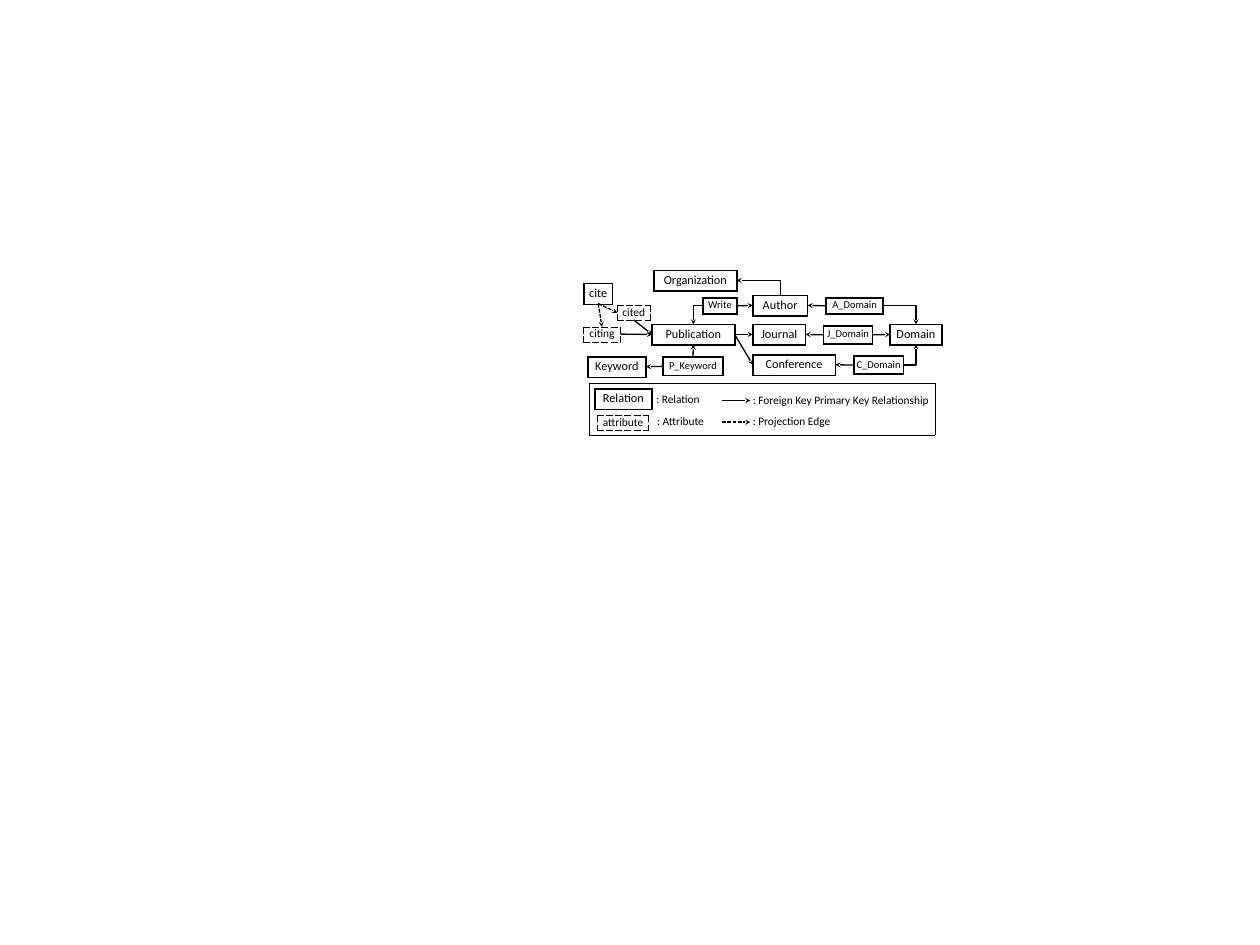
"""Build a schema graph of a publication database with its legend."""
from collections import namedtuple

from lxml import etree
from pptx import Presentation
from pptx import util as u
from pptx.dml.color import RGBColor
from pptx.enum import dml, shapes, text
from pptx.oxml.ns import qn

BLACK = RGBColor(0x00, 0x00, 0x00)
FONT = "Calibri"

Kind = namedtuple("Kind", "size border dash height pad_x pad_y")
RELATION = Kind(14, 2.25, "solid", 0.81, 0.18, 0.18)
LINK_RELATION = Kind(12, 2.25, "solid", 0.74, 0, 0.08)
SLIM_RELATION = LINK_RELATION._replace(height=0.64, pad_y=0)
ATTRIBUTE = Kind(13, 1, "sysDash", 0.58, 0.18, 0.08)
LEGEND_FRAME = Kind(18, 0.75, "solid", 2.06, 0.18, 0.18)

NODES = {
    "Publication": (RELATION, 26.29, 13.08, 3.33),
    "Keyword": (RELATION, 23.7, 14.38, 2.34),
    "P_Keyword": (LINK_RELATION, 26.72, 14.4, 2.44),
    "cite": (RELATION, 23.55, 11.43, 1.14),
    "citing": (ATTRIBUTE, 23.52, 13.18, 1.5),
    "cited": (ATTRIBUTE, 24.89, 12.32, 1.32),
    "Organization": (RELATION, 26.37, 10.9, 3.33),
    "Write": (SLIM_RELATION, 28.35, 12.01, 1.35),
    "Author": (RELATION, 30.35, 11.91, 2.21),
    "Conference": (RELATION, 30.35, 14.3, 3.33),
    "J_Domain": (LINK_RELATION, 33.2, 13.13, 1.98),
    "Journal": (RELATION, 30.35, 13.08, 2.13),
    "C_Domain": (LINK_RELATION, 34.42, 14.35, 2.01),
    "Domain": (RELATION, 35.89, 13.08, 2.08),
    "A_Domain": (SLIM_RELATION, 33.3, 12.01, 2.31),
    "Relation": (RELATION, 23.98, 15.67, 2.31),
    "attribute": (ATTRIBUTE, 24.08, 16.76, 2.08),
}

FOREIGN_KEYS = [
    ("P_Keyword", "left", "Keyword", "right"),
    ("P_Keyword", "top", "Publication", "bottom"),
    ("citing", "right", "Publication", "left"),
    ("cited", "bottom", "Publication", "left"),
    ("Write", "right", "Author", "left"),
    ("J_Domain", "left", "Journal", "right"),
    ("Publication", "right", "Journal", "left"),
    ("Publication", "right", "Conference", "left"),
    ("C_Domain", "left", "Conference", "right"),
    ("A_Domain", "left", "Author", "right"),
    ("J_Domain", "right", "Domain", "left"),
]
PROJECTIONS = [
    ("cite", "bottom", "cited", "left"),
    ("cite", "bottom", "citing", "top"),
]
BENT_KEYS = [
    ("Write", "left", "Publication", "top"),
    ("A_Domain", "right", "Domain", "top"),
    ("C_Domain", "right", "Domain", "bottom"),
]

LEGEND_TEXTS = [
    (": Relation", 26.21, 15.67, 3.1),
    (": Attribute", 26.24, 16.59, 3.53),
    (": Foreign Key Primary Key Relationship", 30.1, 15.72, 10.01),
    (": Projection Edge", 30.1, 16.56, 6.07),
]


def add_run(paragraph, words, size):
    """Add one black run to a paragraph."""
    run = paragraph.add_run()
    run.text = words
    run.font.name = FONT
    run.font.size = u.Pt(size)
    run.font.color.rgb = BLACK


def set_borders(cell, kind):
    """Draw the four borders of a cell."""
    properties = cell._tc.get_or_add_tcPr()
    for side in ("lnL", "lnR", "lnT", "lnB"):
        border = etree.SubElement(properties, qn(f"a:{side}"), w=str(u.Pt(kind.border)))
        fill = etree.SubElement(border, qn("a:solidFill"))
        etree.SubElement(fill, qn("a:srgbClr"), val=str(BLACK))
        etree.SubElement(border, qn("a:prstDash"), val=kind.dash)


def add_node(slide, label, kind, left, top, width):
    """Add a bordered one-cell table."""
    frame = slide.shapes.add_table(
        1, 1, u.Cm(left), u.Cm(top), u.Cm(width), u.Cm(kind.height))
    frame.table.first_row = False
    frame.table.horz_banding = False
    cell = frame.table.cell(0, 0)
    set_borders(cell, kind)
    cell.fill.background()
    cell.vertical_anchor = text.MSO_ANCHOR.MIDDLE
    cell.margin_left = cell.margin_right = u.Cm(kind.pad_x)
    cell.margin_top = cell.margin_bottom = u.Cm(kind.pad_y)
    if label:
        paragraph = cell.text_frame.paragraphs[0]
        paragraph.alignment = text.PP_ALIGN.CENTER
        paragraph.line_spacing = 0.8
        add_run(paragraph, label, kind.size)


def anchor(name, side):
    """Return the middle of one side of a node, in centimetres."""
    kind, left, top, width = NODES[name]
    across, down = {"left": (0, 0.5), "right": (1, 0.5),
                    "top": (0.5, 0), "bottom": (0.5, 1)}[side]
    return left + across * width, top + down * kind.height


def add_arrow(slide, start, end, dashed=False, bent=False, arrow_at="tailEnd"):
    """Add a straight arrow, or one that runs across and then turns once."""
    route = shapes.MSO_CONNECTOR.ELBOW if bent else shapes.MSO_CONNECTOR.STRAIGHT
    arrow = slide.shapes.add_connector(route, *(u.Cm(value) for value in start + end))
    arrow.line.color.rgb = BLACK
    arrow.line.width = u.Pt(1.5)
    if dashed:
        arrow.line.dash_style = dml.MSO_LINE.SQUARE_DOT
    properties = arrow.element.spPr
    if bent:
        properties.find(qn("a:prstGeom")).set("prst", "bentConnector2")
    etree.SubElement(properties.find(qn("a:ln")), qn(f"a:{arrow_at}"), type="stealth")
    etree.SubElement(properties, qn("a:effectLst"))


def add_links(slide, links, **style):
    """Add an arrow for every pair of node sides."""
    for source, source_side, target, target_side in links:
        add_arrow(slide, anchor(source, source_side), anchor(target, target_side), **style)


def add_legend_text(slide, words, left, top, width):
    """Add one explanation of the legend."""
    box = slide.shapes.add_textbox(u.Cm(left), u.Cm(top), u.Cm(width), u.Cm(0.81))
    box.text_frame.word_wrap = True
    box.text_frame.auto_size = text.MSO_AUTO_SIZE.SHAPE_TO_FIT_TEXT
    add_run(box.text_frame.paragraphs[0], words, 13)


def main():
    """Build and save the slide."""
    deck = Presentation()
    deck.slide_width, deck.slide_height = u.Cm(50.8), u.Cm(38.1)
    slide = deck.slides.add_slide(deck.slide_layouts.get_by_name("Blank"))

    for label, node in NODES.items():
        add_node(slide, label, *node)
    add_links(slide, FOREIGN_KEYS)
    add_links(slide, PROJECTIONS, dashed=True)
    add_links(slide, BENT_KEYS, bent=True)
    add_links(slide, [("Organization", "right", "Author", "top")],
              bent=True, arrow_at="headEnd")

    for explanation in LEGEND_TEXTS:
        add_legend_text(slide, *explanation)
    add_arrow(slide, (29.11, 16.15), (30.25, 16.15))
    add_arrow(slide, (29.11, 17.02), (30.25, 17.02), dashed=True)
    add_node(slide, "", LEGEND_FRAME, 23.75, 15.47, 13.94)
    deck.save("out.pptx")


main()
